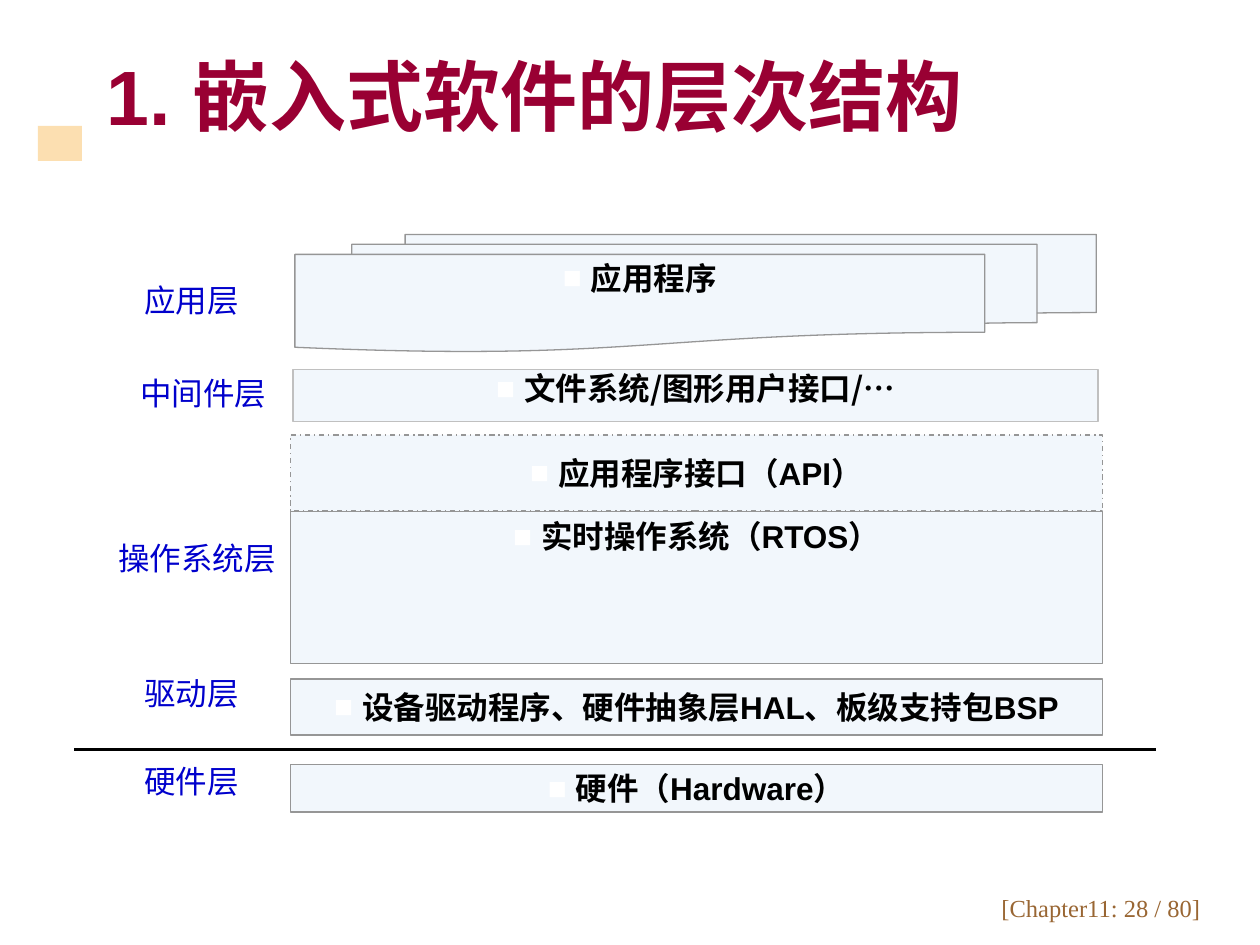
"""Build a slide on the layered structure of embedded software."""
from dataclasses import dataclass
from typing import Optional

from lxml.etree import SubElement
from pptx import Presentation
from pptx.dml.color import RGBColor as RGB
from pptx.enum.dml import MSO_LINE_DASH_STYLE as Dash
from pptx.enum.shapes import MSO_CONNECTOR as Conn, MSO_SHAPE as Geo
from pptx.enum.text import MSO_ANCHOR as Anchor, PP_ALIGN as Align
from pptx.oxml.ns import qn
from pptx.util import Pt


@dataclass(frozen=True)
class Theme:
    title: str = "990033"
    label: str = "0000CC"
    text: str = "000000"
    footer: str = "996633"
    accent: str = "FAC164"
    fill: str = "F2F7FC"
    line: str = "969696"
    pale_line: str = "C0C0C0"
    bullet: str = "FFFFFF"
    shadow: str = "C0C0C0"
    title_size: float = 44
    body_size: float = 18
    footer_size: float = 14
    sans: str = "Arial"
    serif: str = "Times New Roman"
    cjk: str = "Noto Sans CJK SC"
    hang: float = 16


@dataclass(frozen=True)
class Layer:
    text: str
    left: float
    top: float
    width: float
    height: float
    inset: tuple[float, float] = (0, 0)
    anchor: Anchor = Anchor.MIDDLE
    geo: Geo = Geo.RECTANGLE
    font: str = Theme.sans
    line: str = Theme.line
    dash: Optional[Dash] = None


@dataclass(frozen=True)
class Label:
    text: str
    top: float
    left: float = 52
    width: float = 99


THEME = Theme()
LAYERS = [
    Layer("应用程序", 168.5, 134, 458, 67, (5, 2.5), Anchor.TOP,
          Geo.FLOWCHART_MULTIDOCUMENT, THEME.serif),
    Layer("设备驱动程序、硬件抽象层HAL、板级支持包BSP", 166, 388, 464, 32),
    Layer("文件系统/图形用户接口/…", 167.5, 211, 460, 30, anchor=Anchor.TOP,
          font=THEME.cjk, line=THEME.pale_line),
    Layer("实时操作系统（RTOS）", 166, 292, 464, 87, (7.2, 3.6), Anchor.TOP),
    Layer("应用程序接口（API）", 166, 248.5, 464, 43.5, (5, 2.5), dash=Dash.DASH_DOT),
    Layer("硬件（Hardware）", 166, 437, 464, 27, (3, 1)),
]
LABELS = [
    Label("应用层", 160.5),
    Label("中间件层", 214, 58.5),
    Label("操作系统层", 308, 42.5, 124),
    Label("驱动层", 385),
    Label("硬件层", 435.5),
]


def write(sp, text: str, *, size: float = THEME.body_size, font: str = THEME.sans,
          color: str = THEME.text, bold: bool = False, align: Align = Align.LEFT,
          anchor: Anchor = Anchor.TOP, inset: tuple[float, float] = (7.2, 3.6),
          hang: float = 0, bullet: bool = False, shadow: bool = False) -> None:
    tf = sp.text_frame
    tf.word_wrap = True
    tf.vertical_anchor = anchor
    tf.margin_left = tf.margin_right = Pt(inset[0])
    tf.margin_top = tf.margin_bottom = Pt(inset[1])
    p = tf.paragraphs[0]
    p.alignment = align
    p_pr = p._p.get_or_add_pPr()
    p_pr.set("marL", str(Pt(hang)))
    p_pr.set("indent", str(Pt(-hang if bullet else 0)))
    if bullet:
        clr = SubElement(p_pr, qn("a:buClr"))
        SubElement(clr, qn("a:srgbClr"), val=THEME.bullet)
        SubElement(p_pr, qn("a:buFont"), typeface=THEME.sans)
        SubElement(p_pr, qn("a:buChar"), char="■")
    r = p.add_run()
    r.text = text
    r.font.size = Pt(size)
    r.font.bold = bold
    r.font.color.rgb = RGB.from_string(color)
    r_pr = r._r.get_or_add_rPr()
    if shadow:
        effects = SubElement(r_pr, qn("a:effectLst"))
        outer = SubElement(effects, qn("a:outerShdw"), dist=str(Pt(2)), dir="2700000")
        SubElement(outer, qn("a:srgbClr"), val=THEME.shadow)
    r.font.name = font
    SubElement(r_pr, qn("a:ea"), typeface=THEME.cjk)


def add_text(s, left: float, top: float, width: float, height: float,
             text: str, **style) -> None:
    write(s.shapes.add_textbox(Pt(left), Pt(top), Pt(width), Pt(height)), text, **style)


def add_box(s, geo: Geo, left: float, top: float, width: float, height: float, fill: str):
    sp = s.shapes.add_shape(geo, Pt(left), Pt(top), Pt(width), Pt(height))
    sp.shadow.inherit = False
    sp.fill.solid()
    sp.fill.fore_color.rgb = RGB.from_string(fill)
    return sp


def add_accent(s) -> None:
    sp = add_box(s, Geo.RECTANGLE, 21.6, 72, 25.2, 20, THEME.accent)
    sp.line.fill.background()
    clr = sp._element.spPr.find(qn("a:solidFill")).find(qn("a:srgbClr"))
    SubElement(clr, qn("a:alpha"), val="50000")


def add_layer(s, layer: Layer) -> None:
    sp = add_box(s, layer.geo, layer.left, layer.top, layer.width, layer.height, THEME.fill)
    sp.line.color.rgb = RGB.from_string(layer.line)
    sp.line.width = Pt(0.75)
    if layer.dash:
        sp.line.dash_style = layer.dash
    write(sp, layer.text, font=layer.font, bold=True, align=Align.CENTER,
          anchor=layer.anchor, inset=layer.inset, hang=THEME.hang, bullet=True)


def add_label(s, label: Label) -> None:
    add_text(s, label.left, label.top, label.width, 22, label.text, font=THEME.cjk,
             color=THEME.label, align=Align.CENTER, inset=(0, 0), hang=THEME.hang)


def add_divider(s) -> None:
    line = s.shapes.add_connector(Conn.STRAIGHT, Pt(42.5), Pt(428.4), Pt(660.5), Pt(428.4))
    line.line.color.rgb = RGB.from_string(THEME.text)
    line.line.width = Pt(1.5)
    SubElement(line._element.spPr, qn("a:effectLst"))


def main() -> None:
    prs = Presentation()
    prs.slide_width, prs.slide_height = Pt(720), Pt(540)
    s = prs.slides.add_slide(prs.slide_layouts[6])
    add_accent(s)
    add_text(s, 565.2, 507, 150, 24, "[Chapter11: 28 / 80]", size=THEME.footer_size,
             font=THEME.serif, color=THEME.footer)
    add_text(s, 54, 24, 612, 60, "1. 嵌入式软件的层次结构", size=THEME.title_size,
             color=THEME.title, bold=True, anchor=Anchor.BOTTOM, shadow=True)
    for layer in LAYERS:
        add_layer(s, layer)
    add_divider(s)
    for label in LABELS:
        add_label(s, label)
    prs.save("out.pptx")


if __name__ == "__main__":
    main()
